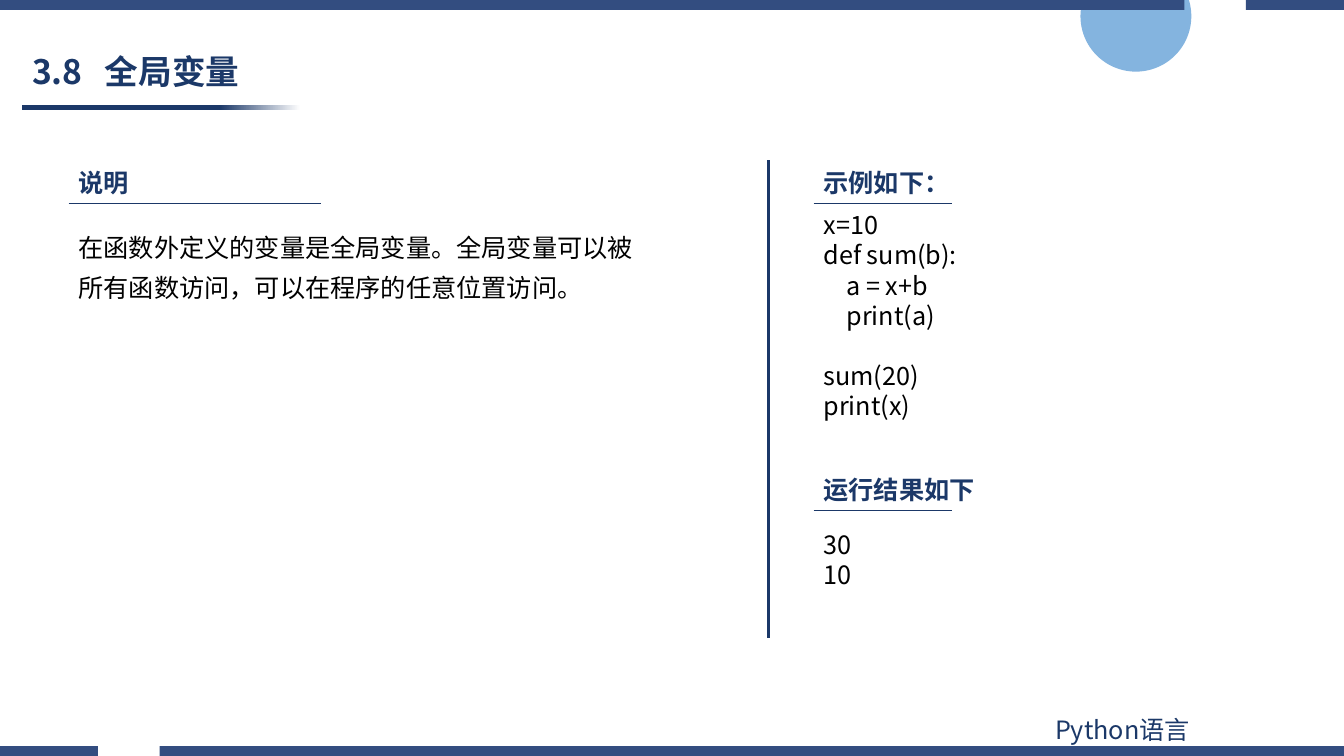
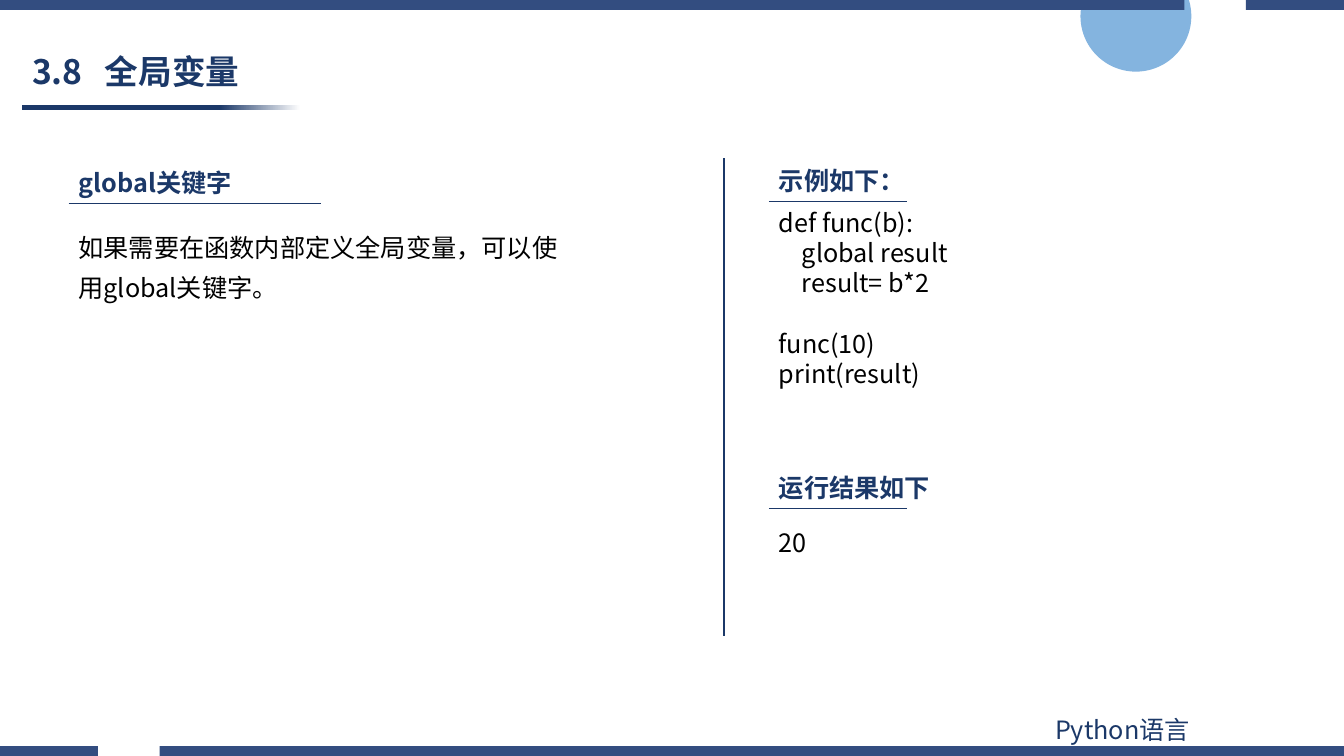
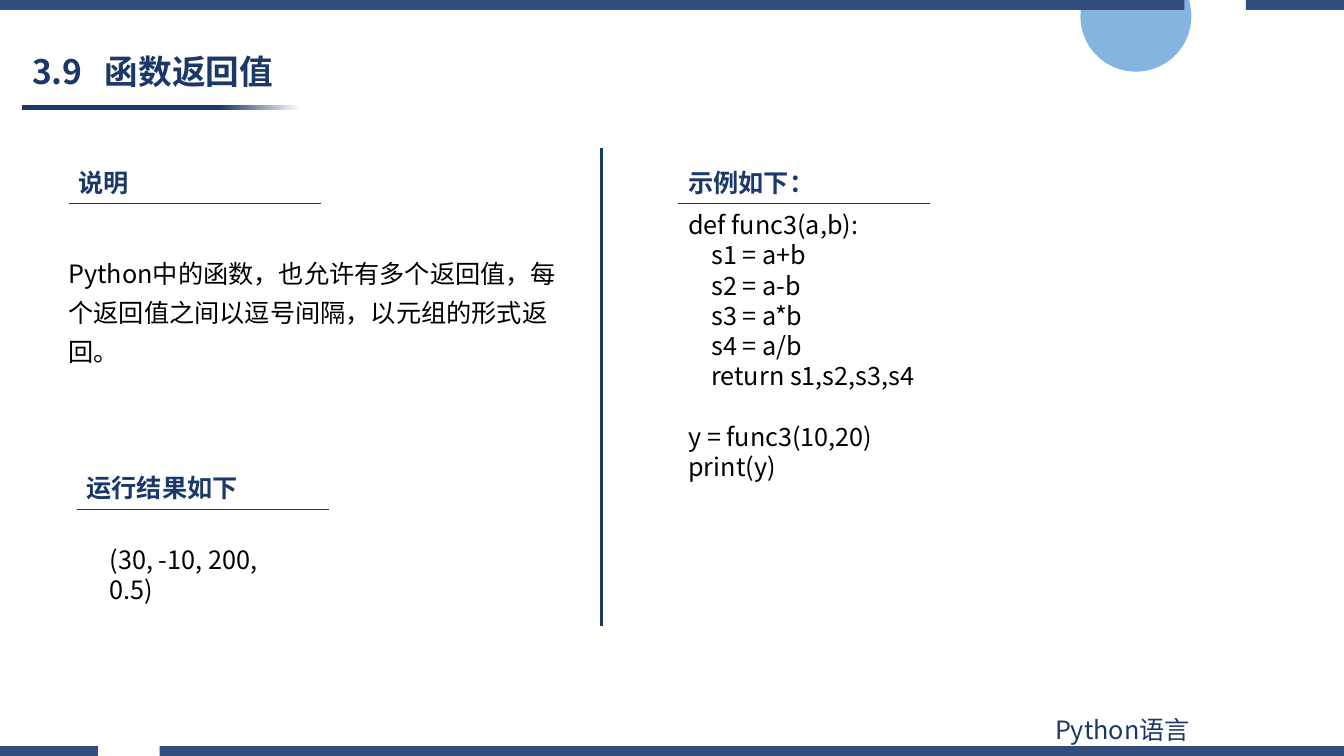
import pptx
import pptx.util
import pptx.dml.color
import pptx.enum.shapes
import pptx.enum.text
import pptx.oxml.ns
import lxml.etree

Pt = pptx.util.Pt
RGBColor = pptx.dml.color.RGBColor
qn = pptx.oxml.ns.qn
SHAPE = pptx.enum.shapes.MSO_SHAPE
FIT = pptx.enum.text.MSO_AUTO_SIZE

NAVY = RGBColor(0x1B, 0x38, 0x68)
STEEL = RGBColor(0x33, 0x4D, 0x80)
SKY = RGBColor(0x5B, 0x9B, 0xD5)
WHITE = RGBColor(0xFF, 0xFF, 0xFF)
BLACK = RGBColor(0, 0, 0)
FONT = "Noto Sans CJK SC"

WIDTH, HEIGHT, BAND = 960, 540, 7.2
ROW = 21.6
INDENT = 4.1
NARROW = (135, 99)
WIDE = (245, 180)


def style(para, size, color, bold=False):
    font = para.font
    font.size = Pt(size)
    font.bold = bold
    font.color.rgb = color
    font.name = FONT
    props = para._p.pPr.find(qn("a:defRPr"))
    lxml.etree.SubElement(props, qn("a:ea")).set("typeface", FONT)


def text(slide, left, top, width, lines, color=BLACK, bold=False, rows=None):
    height = (rows or len(lines)) * ROW + 7.2
    box = slide.shapes.add_textbox(Pt(left), Pt(top), Pt(width), Pt(height))
    frame = box.text_frame
    frame.word_wrap = True
    frame.auto_size = FIT.SHAPE_TO_FIT_TEXT
    for i, line in enumerate(lines):
        para = frame.add_paragraph() if i else frame.paragraphs[0]
        para.text = line
        style(para, 18, color, bold)
    return box


def note(slide, left, top, width, words, rows):
    box = text(slide, left, top, width, [words], rows=rows * 1.3)
    box.text_frame.paragraphs[0].line_spacing = 1.3


def code(slide, left, top, width, source):
    lines = source.strip().split("\n")
    used = [line for line in lines if line]
    box = text(slide, left, top, width, [line.lstrip() for line in used],
               rows=len(lines))
    paras = iter(box.text_frame.paragraphs)
    gap = 0
    for line in lines:
        if not line:
            gap += ROW
            continue
        para = next(paras)
        depth = len(line) - len(line.lstrip())
        if depth:
            para._p.pPr.set("marL", str(Pt(depth * INDENT)))
        if gap:
            para.space_before = Pt(gap)
        gap = 0


def rule(slide, x1, y1, x2, y2, weight):
    line = slide.shapes.add_connector(
        pptx.enum.shapes.MSO_CONNECTOR.STRAIGHT, Pt(x1), Pt(y1), Pt(x2), Pt(y2))
    line.line.color.rgb = NAVY
    line.line.width = Pt(weight)
    lxml.etree.SubElement(line.element.spPr, qn("a:effectLst"))


def heading(slide, left, top, words, size=WIDE):
    width, length = size
    text(slide, left, top, width, [words], NAVY, True)
    rule(slide, left, top + 29.5, left + length, top + 29.5, 0.5)


def divider(slide, left, top):
    rule(slide, left, top, left, top + 341, 2)


def sample(slide, left, top, source, output):
    divider(slide, left - 32, top - 1.5)
    heading(slide, left, top, "示例如下：", NARROW)
    code(slide, left, top + 30, 300, source)
    heading(slide, left, top + 219, "运行结果如下", NARROW)
    text(slide, left, top + 258.5, 223, output)


def plain(shape, color):
    shape.shadow.inherit = False
    shape.line.fill.background()
    shape.fill.solid()
    shape.fill.fore_color.rgb = color
    return shape


def band(slide, top, start, end):
    low = top + BAND
    pen = slide.shapes.build_freeform(0, top, Pt(1))
    pen.add_line_segments([(start, top), (start, low), (0, low)])
    pen.move_to(end, top)
    pen.add_line_segments([(WIDTH, top), (WIDTH, low), (end, low)])
    return plain(pen.convert_to_shape(), STEEL)


def dot(slide):
    shape = slide.shapes.add_shape(SHAPE.OVAL, Pt(771.8), Pt(-28), Pt(79.2), Pt(79.2))
    plain(shape, SKY)
    tint = shape.element.spPr.find(qn("a:solidFill"))[0]
    lxml.etree.SubElement(tint, qn("a:alpha")).set("val", "75000")
    return shape


def fade(slide):
    bar = slide.shapes.add_shape(SHAPE.RECTANGLE, Pt(15.8), Pt(75), Pt(198.7), Pt(3.6))
    plain(bar, NAVY)
    bar.fill.gradient()
    bar.fill.gradient_angle = 0
    stops = ((0.71, NAVY), (1.0, WHITE))
    for stop, (place, color) in zip(bar.fill.gradient_stops, stops):
        stop.position = place
        stop.color.rgb = color
    return bar


def dress(layout, slide):
    title = layout.placeholders[0]
    title.left, title.top = Pt(15.8), Pt(32.4)
    title.width, title.height = Pt(287), Pt(40.3)
    parts = [
        dot(slide),
        fade(slide),
        band(slide, HEIGHT - BAND, 70, 114.4),
        band(slide, 0, 845.8, 890),
        text(slide, 746.6, 506.9, 211.7, ["Python语言"], NAVY),
    ]
    for num, part in enumerate(parts, 20):
        part.element.nvSpPr.cNvPr.id = num
        layout.shapes.element.append(part.element)


def name(slide, words):
    frame = slide.shapes.title.text_frame
    frame.text = words
    frame.auto_size = FIT.NONE
    frame.vertical_anchor = pptx.enum.text.MSO_ANCHOR.MIDDLE
    para = frame.paragraphs[0]
    para.alignment = pptx.enum.text.PP_ALIGN.LEFT
    para.line_spacing = 0.9
    style(para, 24, NAVY, True)
    tabs = lxml.etree.Element(qn("a:tabLst"))
    tab = lxml.etree.SubElement(tabs, qn("a:tab"))
    tab.set("pos", str(Pt(52)))
    tab.set("algn", "l")
    para._p.pPr.find(qn("a:defRPr")).addprevious(tabs)


def main():
    deck = pptx.Presentation()
    deck.slide_width, deck.slide_height = Pt(WIDTH), Pt(HEIGHT)
    layout = deck.slide_layouts[5]
    scope, key, back = [deck.slides.add_slide(layout) for _ in range(3)]
    dress(layout, scope)

    name(scope, "3.8\t全局变量")
    heading(scope, 49, 116, "说明")
    note(scope, 49, 156.2, 414,
         "在函数外定义的变量是全局变量。全局变量可以被所有函数访问，可以在程序的任意位置访问。", 2)
    sample(scope, 581.2, 116, """
x=10
def sum(b):
    a = x+b
    print(a)

sum(20)
print(x)
""", ["30", "10"])

    name(key, "3.8\t全局变量")
    heading(key, 49, 116, "global关键字")
    note(key, 49, 156.2, 358,
         "如果需要在函数内部定义全局变量，可以使用global关键字。", 2)
    sample(key, 549.2, 114.5, """
def func(b):
    global result
    result= b*2

func(10)
print(result)
""", ["20"])

    name(back, "3.9\t函数返回值")
    heading(back, 49, 116, "说明")
    note(back, 41.8, 174.2, 366.5,
         "Python中的函数，也允许有多个返回值，每个返回值之间以逗号间隔，以元组的形式返回。", 3)
    heading(back, 54.7, 334, "运行结果如下")
    text(back, 71.3, 385.2, 151, ["(30, -10, 200, 0.5)"], rows=2)
    divider(back, 429.8, 105.8)
    heading(back, 484.6, 116, "示例如下：")
    code(back, 484.6, 146, 292, """
def func3(a,b):
    s1 = a+b
    s2 = a-b
    s3 = a*b
    s4 = a/b
    return s1,s2,s3,s4

y = func3(10,20)
print(y)
""")

    deck.save("out.pptx")


if __name__ == "__main__":
    main()
